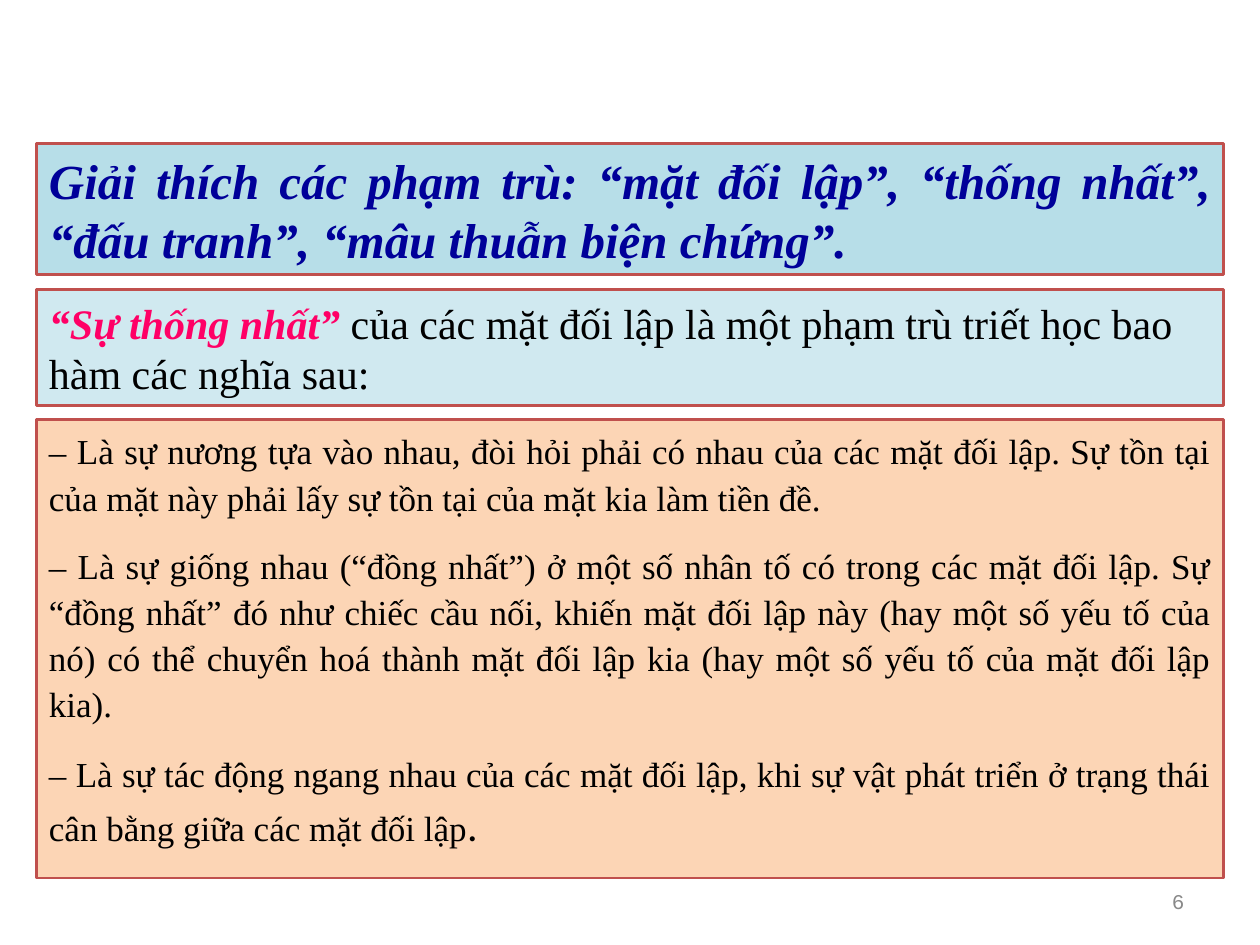
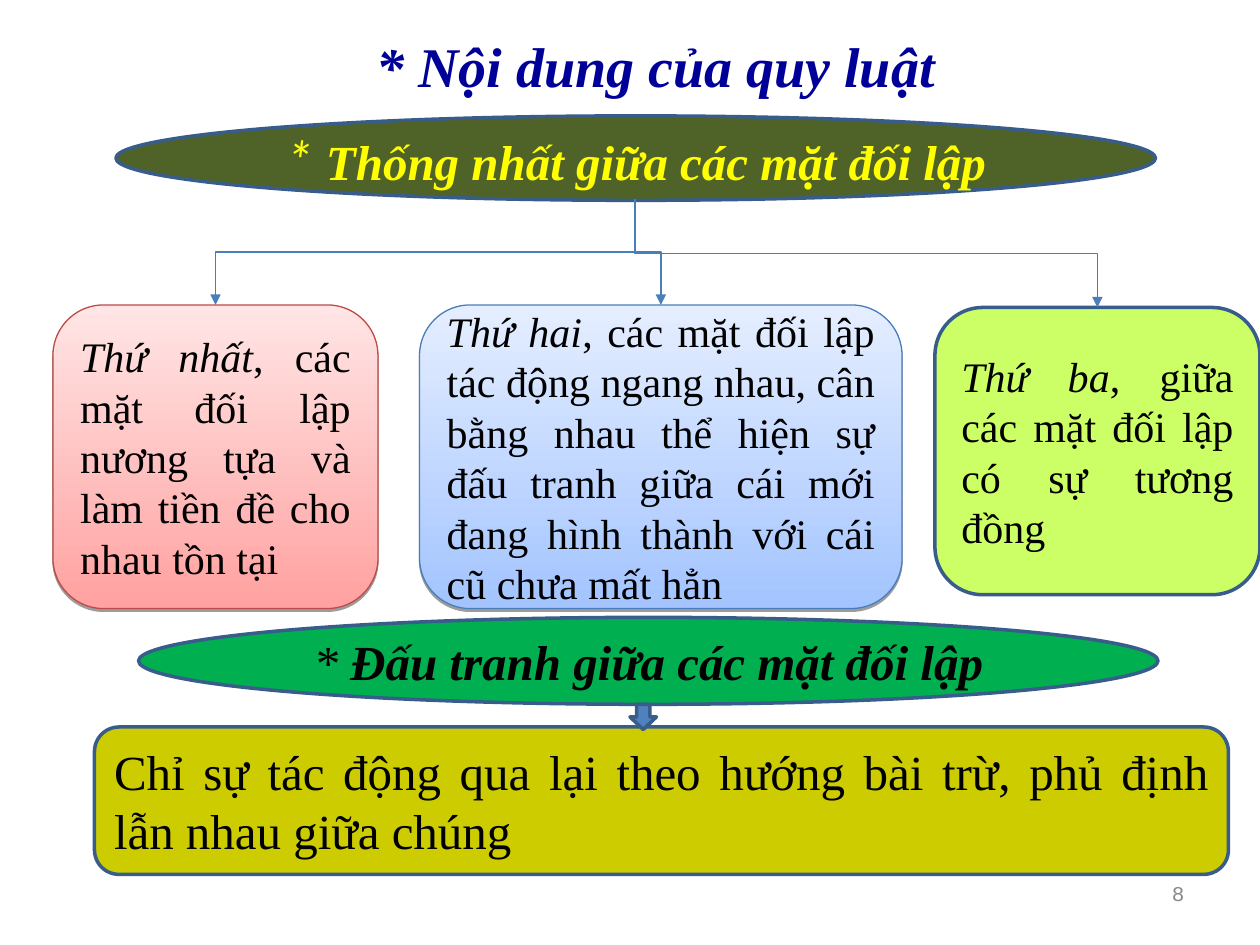
from lxml.etree import SubElement as Sub
from pptx import Presentation
from pptx.dml.color import RGBColor
from pptx.enum.shapes import MSO_CONNECTOR as Link, MSO_SHAPE as Kind
from pptx.enum.text import MSO_ANCHOR as Anchor, PP_ALIGN as Align
from pptx.oxml.ns import qn
from pptx.util import Pt

SCALE = 9144
SERIF, SANS, MONO = "Times New Roman", "Calibri", "Courier New"
NAVY, RED, STEEL, BLUE, BLACK = "000099", "C0504D", "385D8A", "4A7EBB", "000000"
AQUA, GREY, PINK, YELLOW = "B7DEE8", "898989", "FF0066", "FFFF00"


def px(n):
    return round(n * SCALE)


def rgb(code):
    return RGBColor.from_string(code)


def run(text, size=24, color=BLACK, font=SERIF, bold=False, slant=False):
    return text, size, color, font, bold, slant


def para(*runs, align=Align.JUSTIFY, gap=0, after=0, lead=None):
    return runs, align, gap, after, lead


class Deck:
    """Holds the shared style and the current slide."""

    def __init__(self):
        self.file = Presentation()
        self.file.slide_width, self.file.slide_height = px(1000), px(750)

    def page(self, num, top, high):
        self.slide = self.file.slides.add_slide(self.file.slide_layouts[6])
        mark = run(str(num), 12, GREY, MONO)
        self.label((717, top, 233, high), para(mark, align=Align.RIGHT))

    def words(self, shape, paras, anchor=Anchor.MIDDLE):
        frame = shape.text_frame
        frame.word_wrap, frame.vertical_anchor = True, anchor
        for i, (runs, align, gap, after, lead) in enumerate(paras):
            p = frame.add_paragraph() if i else frame.paragraphs[0]
            p.alignment, p.line_spacing = align, lead
            p.space_before, p.space_after = Pt(gap), Pt(after)
            for text, size, color, font, bold, slant in runs:
                r = p.add_run()
                r.text, r.font.size, r.font.name = text, Pt(size), font
                r.font.bold, r.font.italic = bold, slant
                r.font.color.rgb = rgb(color)

    def label(self, box, *paras):
        self.words(self.slide.shapes.add_textbox(*map(px, box)), paras)

    def shape(self, kind, box, fill, *paras, line=STEEL, width=2, anchor=Anchor.MIDDLE):
        item = self.slide.shapes.add_shape(kind, *map(px, box))
        item.shadow.inherit = False
        item.line.color.rgb, item.line.width = rgb(line), Pt(width)
        if isinstance(fill, tuple):
            item.fill.gradient()
            item.fill.gradient_angle = 90
            for stop, code in zip(item.fill.gradient_stops, fill):
                stop.color.rgb = rgb(code)
        else:
            item.fill.solid()
            item.fill.fore_color.rgb = rgb(fill)
        self.words(item, paras, anchor)
        return item

    def panel(self, top, high, fill, *paras, anchor=Anchor.MIDDLE):
        return self.shape(Kind.RECTANGLE, (29, top, 942, high), fill, *paras,
                          line=RED, width=1.5, anchor=anchor)

    def fade(self, item, percent):
        tint = item._element.spPr.find(qn("a:solidFill"))[0]
        Sub(tint, qn("a:alpha"), val=str(percent * 1000))

    def shade(self, item):
        effects = item._element.spPr.find(qn("a:effectLst"))
        drop = Sub(effects, qn("a:outerShdw"), blurRad="0", dist="20000",
                   dir="5400000", rotWithShape="0")
        tint = Sub(drop, qn("a:srgbClr"), val=BLACK)
        Sub(tint, qn("a:alpha"), val="38000")

    def elbow(self, x1, y1, x2, y2):
        mid, row = (x1 + x2) / 2, (y1 + y2) / 2
        half, rise = (y2 - y1) / 2, abs(x2 - x1) / 2
        ends = mid - half, row - rise, mid + half, row + rise
        item = self.slide.shapes.add_connector(Link.ELBOW, *map(px, ends))
        item.line.color.rgb, item.line.width = rgb(BLUE), Pt(0.75)
        props = item._element.spPr
        frame = props.find(qn("a:xfrm"))
        frame.set("rot", str((270 if x2 > x1 else 90) * 60000))
        if x2 > x1:
            frame.set("flipH", "1")
        Sub(props.find(qn("a:ln")), qn("a:tailEnd"), type="triangle")
        Sub(props, qn("a:effectLst"))


def terms(deck):
    deck.page(6, 695, 40)
    unity = deck.panel(230, 92, AQUA, para(
        run("“Sự thống nhất”", color=PINK, bold=True, slant=True),
        run(" của các mặt đối lập là một phạm trù triết học bao hàm các nghĩa sau:"),
        align=Align.LEFT))
    deck.fade(unity, 65)
    points = [
        "– Là sự nương tựa vào nhau, đòi hỏi phải có nhau của các mặt đối lập. "
        "Sự tồn tại của mặt này phải lấy sự tồn tại của mặt kia làm tiền đề.",
        "– Là sự giống nhau (“đồng nhất”) ở một số nhân tố có trong các mặt đối lập. "
        "Sự “đồng nhất” đó như chiếc cầu nối, khiến mặt đối lập này (hay một số yếu tố "
        "của nó) có thể chuyển hoá thành mặt đối lập kia (hay một số yếu tố của mặt "
        "đối lập kia).",
    ]
    last = ("– Là sự tác động ngang nhau của các mặt đối lập, khi sự vật phát triển "
            "ở trạng thái cân bằng giữa các mặt đối lập")
    paras = [para(run(text, 20), gap=6.2, after=6.2, lead=1.1) for text in points]
    paras.append(para(run(last, 20), run(".", font=SANS), gap=7.5, after=7.5, lead=1.1))
    deck.panel(333, 364, "FCD5B5", *paras, anchor=Anchor.TOP)
    deck.panel(114, 104, AQUA, para(run(
        "Giải thích các phạm trù: “mặt đối lập”, “thống nhất”, “đấu tranh”, "
        "“mâu thuẫn biện chứng”.", 28, NAVY, bold=True, slant=True)))


def law(deck):
    deck.page(8, 683, 52)
    deck.label((261, 2, 519, 100), para(
        run("* Nội dung của quy luật", 32, NAVY, bold=True, slant=True),
        align=Align.CENTER))
    deck.shape(Kind.OVAL, (92, 92, 825, 67), "4F6228", para(
        run("* ", 32, YELLOW, SANS, slant=True),
        run("Thống nhất giữa các mặt đối lập", 28, YELLOW, bold=True, slant=True),
        align=Align.CENTER))
    cards = [
        ((42, 242, 258, 241), ("FFA2A1", "FFE5E5"), "BE4B48", "Thứ nhất",
         ", các mặt đối lập nương tựa và làm tiền đề cho nhau tồn tại"),
        ((333, 242, 383, 241), ("A3C4FF", "E5EEFF"), BLUE, "Thứ hai",
         ", các mặt đối lập tác động ngang nhau, cân bằng nhau thể hiện sự đấu tranh "
         "giữa cái mới đang hình thành với cái cũ chưa mất hẳn"),
        ((742, 244, 258, 228), "CCFF66", STEEL, "Thứ ba",
         ", giữa các mặt đối lập có sự tương đồng"),
    ]
    for box, fill, line, head, rest in cards:
        soft = isinstance(fill, tuple)
        card = deck.shape(Kind.ROUNDED_RECTANGLE, box, fill,
                          para(run(head, slant=True), run(rest)),
                          line=line, width=0.75 if soft else 2)
        if soft:
            deck.shade(card)
        left, top, wide, _ = box
        deck.elbow(504, 158, left + wide / 2, top)
    deck.shape(Kind.OVAL, (110, 490, 809, 69), "00B050", para(
        run("* ", 28, slant=True),
        run("Đấu tranh giữa các mặt đối lập", 28, bold=True, slant=True),
        align=Align.CENTER))
    deck.shape(Kind.ROUNDED_RECTANGLE, (75, 577, 900, 117), "CCCC00", para(
        run("Chỉ sự tác động qua lại theo hướng bài trừ, phủ định lẫn nhau giữa chúng",
            28), gap=7))
    deck.shape(Kind.DOWN_ARROW, (500, 559, 21, 20), "4F81BD")


def main():
    deck = Deck()
    terms(deck)
    law(deck)
    deck.file.save("out.pptx")


if __name__ == "__main__":
    main()
